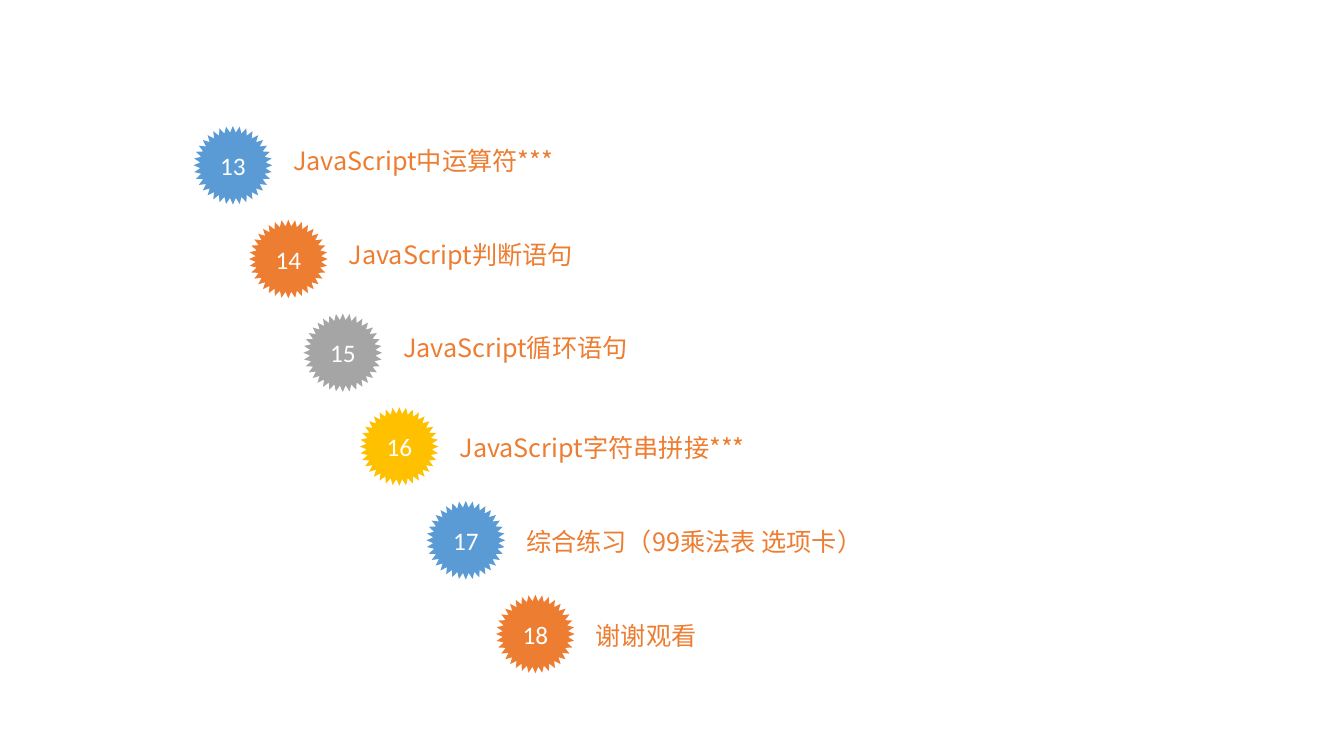
from math import cos, pi, sin

from lxml import etree
from pptx import Presentation
from pptx.dml.color import RGBColor
from pptx.enum.text import MSO_ANCHOR, PP_ALIGN
from pptx.oxml.ns import qn
from pptx.util import Inches, Pt

CENTER = PP_ALIGN.CENTER
MIDDLE = MSO_ANCHOR.MIDDLE

BLUE, ORANGE, GRAY, GOLD, WHITE = "5B9BD5", "ED7D31", "A5A5A5", "FFC000", "FFFFFF"
LABEL_FONT = "Noto Sans CJK SC"
NUMBER_FONT = "Calibri"

TEETH = 36
OUTER_RADIUS, INNER_RADIUS = 0.39, 0.325
FIRST_NUMBER = 13
FIRST_TOP, ROW_STEP = 1.25, 0.93
LABEL_OFFSET = 0.89

# Badge left edge, label drop below the badge top, badge colour, label
TOPICS = [
    (1.92, 0.14, BLUE, "JavaScript中运算符***"),
    (2.47, 0.14, ORANGE, "JavaScript判断语句"),
    (3.01, 0.14, GRAY, "JavaScript循环语句"),
    (3.57, 0.20, GOLD, "JavaScript字符串拼接***"),
    (4.23, 0.20, BLUE, "综合练习（99乘法表 选项卡）"),
    (4.92, 0.20, ORANGE, "谢谢观看"),
]


def color(value):
    return RGBColor.from_string(value)


def write(box, text, font_name, text_color):
    para = box.text_frame.paragraphs[0]
    para.text = text
    para.font.size = Pt(18)
    para.font.color.rgb = color(text_color)
    para.font.name = font_name
    latin = para._p.pPr.find(qn("a:defRPr")).find(qn("a:latin"))
    east_asian = etree.Element(qn("a:ea"), typeface=LABEL_FONT)
    latin.addnext(east_asian)
    return para


def badge_points(left, top):
    """Return the toothed outline, clockwise from the top tooth."""
    points = []
    for index in range(2 * TEETH):
        radius = INNER_RADIUS if index % 2 else OUTER_RADIUS
        angle = index * pi / TEETH
        x = left + OUTER_RADIUS + radius * sin(angle)
        y = top + OUTER_RADIUS - radius * cos(angle)
        points.append((Inches(x), Inches(y)))
    return points


def add_badge(shapes, left, top, fill, number):
    start, *others = badge_points(left, top)
    builder = shapes.build_freeform(*start)
    builder.add_line_segments(others, close=True)
    badge = builder.convert_to_shape()
    badge.shadow.inherit = False
    badge.fill.solid()
    badge.fill.fore_color.rgb = color(fill)
    badge.line.fill.background()
    badge.text_frame.vertical_anchor = MIDDLE
    write(badge, str(number), NUMBER_FONT, WHITE).alignment = CENTER


def add_label(shapes, left, top, text):
    box = shapes.add_textbox(Inches(left), Inches(top), Inches(7.44), Inches(0.52))
    box.text_frame.word_wrap = True
    write(box, text, LABEL_FONT, ORANGE)


def main():
    deck = Presentation()
    deck.slide_width, deck.slide_height = Inches(13.33), Inches(7.5)
    page = deck.slides.add_slide(deck.slide_layouts[6])
    for row, (left, drop, fill, text) in enumerate(TOPICS):
        top = FIRST_TOP + row * ROW_STEP
        topic = page.shapes.add_group_shape()
        add_label(topic.shapes, left + LABEL_OFFSET, top + drop, text)
        add_badge(topic.shapes, left, top, fill, FIRST_NUMBER + row)
    deck.save("out.pptx")


if __name__ == "__main__":
    main()
